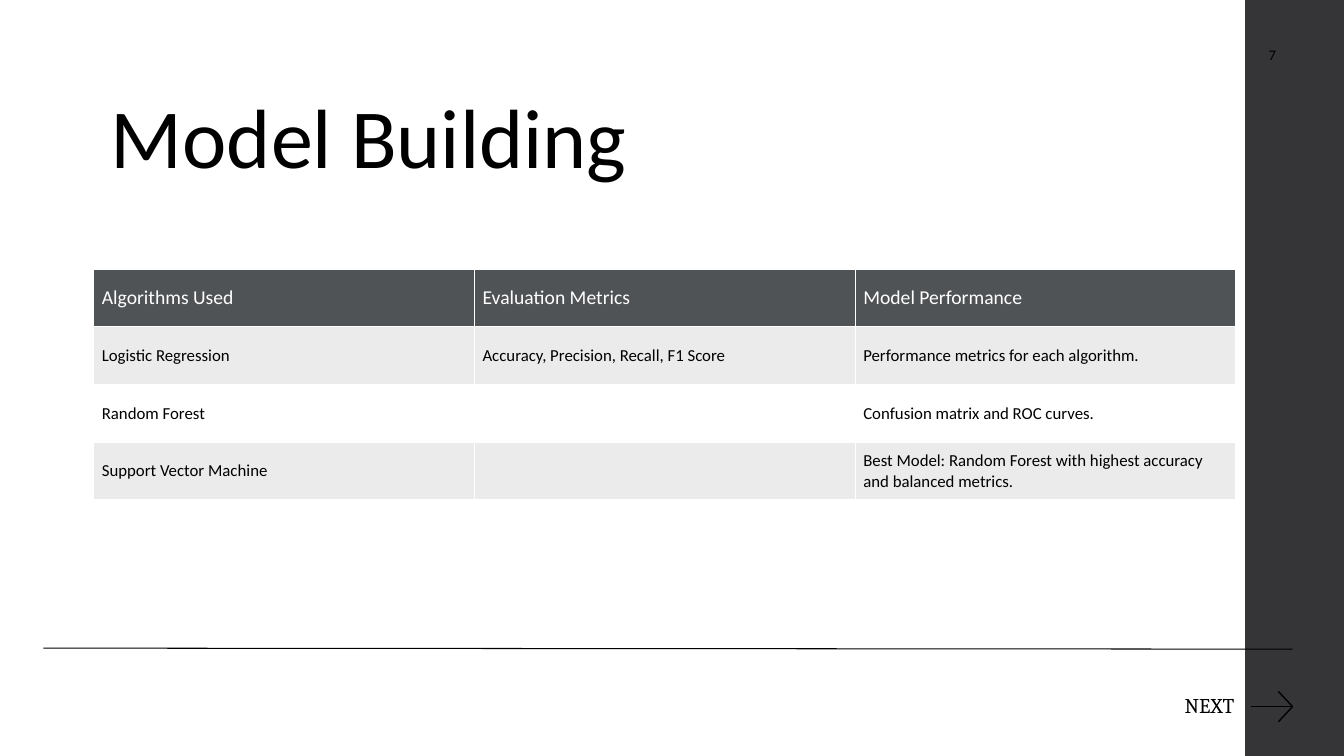
import pptx
import pptx.dml.color
import pptx.enum.shapes
import pptx.enum.text
import pptx.util
from lxml import etree
from pptx.oxml.ns import qn
from pptx.util import Inches

COLORS = {
    "black": "000000",
    "white": "FFFFFF",
    "sidebar": "353537",
    "header": "505356",
    "band": "EBEBEB",
}
ROWS = [
    ["Algorithms Used", "Evaluation Metrics", "Model Performance"],
    ["Logistic Regression", "Accuracy, Precision, Recall, F1 Score",
     "Performance metrics for each algorithm."],
    ["Random Forest", "", "Confusion matrix and ROC curves."],
    ["Support Vector Machine", "",
     "Best Model: Random Forest with highest accuracy and balanced metrics."],
]
LEFT = pptx.enum.text.PP_ALIGN.LEFT
CENTER = pptx.enum.text.PP_ALIGN.CENTER
TOP = pptx.enum.text.MSO_ANCHOR.TOP
MIDDLE = pptx.enum.text.MSO_ANCHOR.MIDDLE


def rgb(name):
    return pptx.dml.color.RGBColor.from_string(COLORS[name])


def write(frame, text, size, font="Calibri", color="black", align=LEFT):
    frame.text = text
    para = frame.paragraphs[0]
    para.alignment = align
    for span in para.runs:
        span.font.size = pptx.util.Pt(size)
        span.font.name = font
        span.font.color.rgb = rgb(color)
    return para


def set_margins(target, side, end):
    target.margin_left = target.margin_right = Inches(side)
    target.margin_top = target.margin_bottom = Inches(end)


def add_sidebar(slide):
    bar = slide.shapes.add_shape(
        pptx.enum.shapes.MSO_SHAPE.RECTANGLE,
        Inches(12.35), 0, Inches(1), Inches(7.5))
    bar.shadow.inherit = False
    bar.fill.solid()
    bar.fill.fore_color.rgb = rgb("sidebar")
    bar.line.fill.background()


def add_line(slide, start, end, width):
    line = slide.shapes.add_connector(
        pptx.enum.shapes.MSO_CONNECTOR.STRAIGHT,
        Inches(start[0]), Inches(start[1]), Inches(end[0]), Inches(end[1]))
    line.line.color.rgb = rgb("black")
    line.line.width = pptx.util.Pt(width)
    etree.SubElement(line._element.spPr, qn("a:effectLst"))


def add_next_arrow(slide):
    tip = (12.82, 7.01)
    for start in ((12.41, 7.01), (12.68, 6.86), (12.68, 7.16)):
        add_line(slide, start, tip, 1)


def add_label(slide, place, text, size, margins, anchor=TOP, **style):
    box = slide.shapes.add_textbox(*map(Inches, place))
    frame = box.text_frame
    frame.word_wrap = True
    frame.vertical_anchor = anchor
    set_margins(frame, *margins)
    return write(frame, text, size, **style)


def set_borders(cell):
    """Draw a thin white line on all four sides; borders precede the fill."""
    properties = cell._tc.get_or_add_tcPr()
    for index, side in enumerate(("lnL", "lnR", "lnT", "lnB")):
        border = etree.Element(qn(f"a:{side}"), w=str(pptx.util.Pt(1)))
        fill = etree.SubElement(border, qn("a:solidFill"))
        etree.SubElement(fill, qn("a:srgbClr"), val=COLORS["white"])
        properties.insert(index, border)


def add_model_table(slide):
    table = slide.shapes.add_table(
        len(ROWS), len(ROWS[0]), Inches(0.93), Inches(2.67),
        Inches(11.33), Inches(2.29)).table
    for row_index, row in enumerate(ROWS):
        is_header = row_index == 0
        band = "header" if is_header else "band" if row_index % 2 else "white"
        for column_index, text in enumerate(row):
            cell = table.cell(row_index, column_index)
            cell.fill.solid()
            cell.fill.fore_color.rgb = rgb(band)
            cell.vertical_anchor = MIDDLE
            set_margins(cell, 0.08, 0.08)
            set_borders(cell)
            para = write(cell.text_frame, text, 14 if is_header else 12,
                         color="white" if is_header else "black")
            para.font.bold = False


def set_title(slide, text):
    title = slide.shapes.title
    title.left, title.top = Inches(1), Inches(0.79)
    title.width, title.height = Inches(11.42), Inches(1.44)
    title.text_frame.vertical_anchor = TOP
    title.text_frame.auto_size = pptx.enum.text.MSO_AUTO_SIZE.NONE
    write(title.text_frame, text, 60)


def main():
    deck = pptx.Presentation()
    deck.slide_width, deck.slide_height = Inches(13.33), Inches(7.5)
    slide = deck.slides.add_slide(deck.slide_layouts[5])
    add_sidebar(slide)
    add_next_arrow(slide)
    next_label = add_label(slide, (11.71, 6.85, 0.83, 0.33), "NEXT", 15,
                           (0.04, 0.05), font="Cambria")
    next_label.line_spacing = 0.9
    next_label.space_before = pptx.util.Pt(6)
    add_model_table(slide)
    set_title(slide, "Model Building")
    add_line(slide, (0.43, 6.43), (12.82, 6.44), 0.75)
    add_label(slide, (12.42, 0.35, 0.4, 0.39), "7", 10.5, (0.05, 0.05),
              anchor=MIDDLE, align=CENTER)
    deck.save("out.pptx")


if __name__ == "__main__":
    main()
